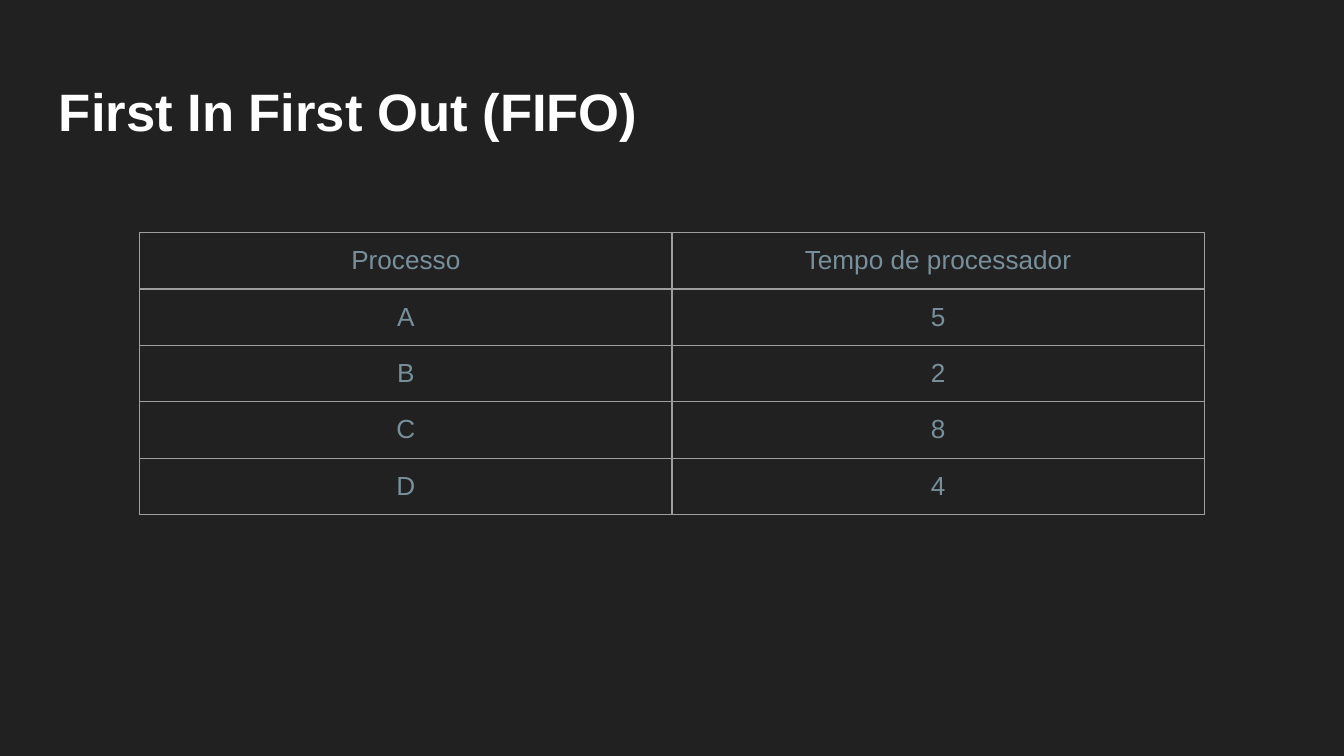
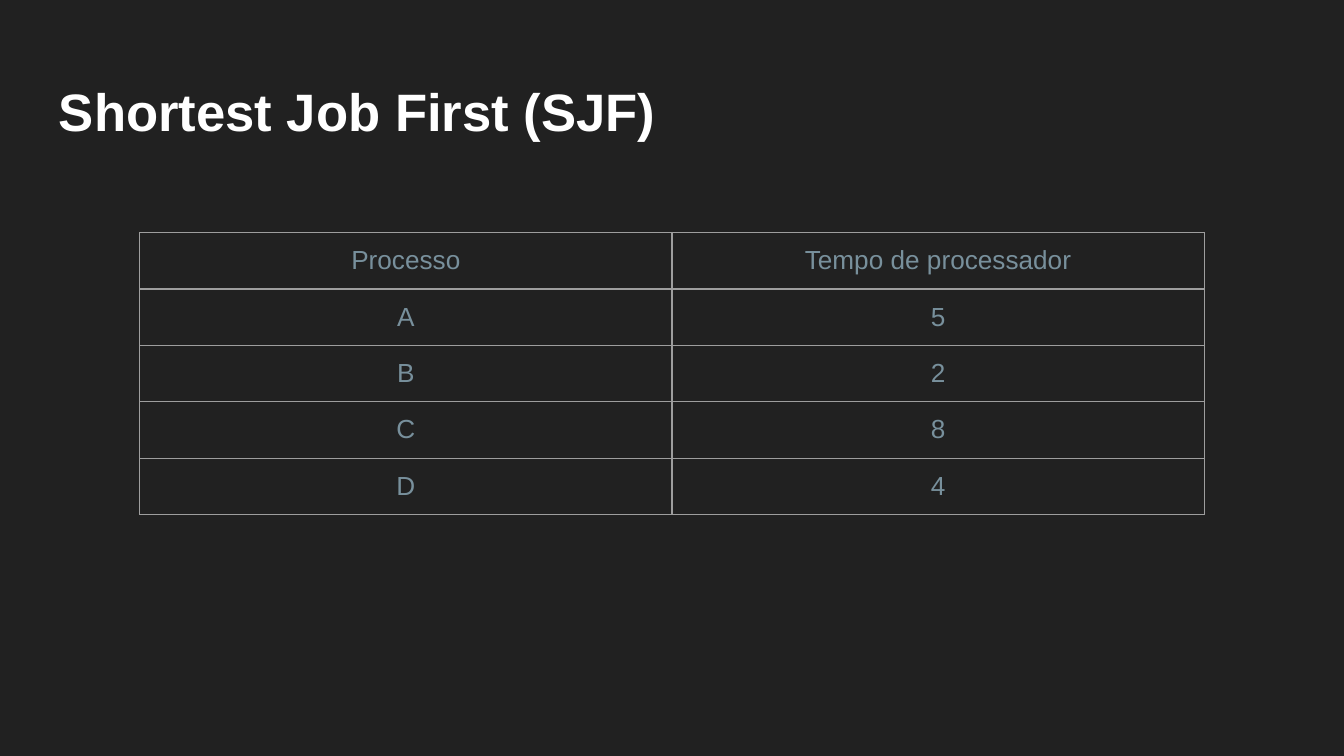
"""Build two dark slides listing the processes scheduled by FIFO and SJF."""
import pptx
import pptx.dml.color
import pptx.enum.text
import pptx.oxml
import pptx.oxml.ns
import pptx.util

INCH = pptx.util.Inches
ALIGN = pptx.enum.text.PP_ALIGN
HUES = {"back": "212121", "title": "FFFFFF", "text": "78909C", "line": "9E9E9E"}
WIDE = 10
HIGH = WIDE * 9 / 16
COL, ROW = 3.96, 0.42
LEFT, TOP = WIDE / 2 - COL, 1.73
EDGE, PAD = 0.34, 0.1
TITLES = ["First In First Out (FIFO)", "Shortest Job First (SJF)"]
ROWS = [("Processo", "Tempo de processador"),
        ("A", "5"), ("B", "2"), ("C", "8"), ("D", "4")]


def tint(name):
    return pptx.dml.color.RGBColor.from_string(HUES[name])


def write(frame, text, size, hue, bold=False, align=ALIGN.LEFT):
    para = frame.paragraphs[0]
    para.alignment = align
    run = para.add_run()
    run.text = text
    run.font.name = "Arial"
    run.font.size = pptx.util.Pt(size)
    run.font.bold = bold
    run.font.color.rgb = tint(hue)


deck = pptx.Presentation()
deck.slide_width, deck.slide_height = INCH(WIDE), INCH(HIGH)

for title in TITLES:
    slide = deck.slides.add_slide(deck.slide_layouts[6])
    slide.background.fill.solid()
    slide.background.fill.fore_color.rgb = tint("back")

    box = slide.shapes.add_textbox(INCH(EDGE), INCH(0.49), INCH(WIDE - 2 * EDGE), INCH(0.63))
    frame = box.text_frame
    frame.word_wrap = True
    frame.margin_left = frame.margin_right = frame.margin_top = INCH(PAD)
    frame.margin_bottom = INCH(PAD / 2)
    write(frame, title, 28.2, "title", bold=True)

    grid = slide.shapes.add_table(len(ROWS), 2, INCH(LEFT), INCH(TOP),
                                  INCH(2 * COL), INCH(len(ROWS) * ROW)).table
    grid.first_row = grid.horz_banding = False
    for col in grid.columns:
        col.width = INCH(COL)
    for row, texts in zip(grid.rows, ROWS):
        row.height = INCH(ROW)
        for cell, text in zip(row.cells, texts):
            cell.margin_left = cell.margin_right = cell.margin_top = INCH(PAD)
            cell.margin_bottom = INCH(PAD / 2)
            write(cell.text_frame, text, 14, "text", align=ALIGN.CENTER)
            props = cell._tc.get_or_add_tcPr()
            for side in ("lnL", "lnR", "lnT", "lnB"):
                props.append(pptx.oxml.parse_xml(
                    f'<a:{side} {pptx.oxml.ns.nsdecls("a")} w="{pptx.util.Pt(0.75)}">'
                    f'<a:solidFill><a:srgbClr val="{HUES["line"]}"/></a:solidFill></a:{side}>'))
            cell.fill.background()

deck.save("out.pptx")
